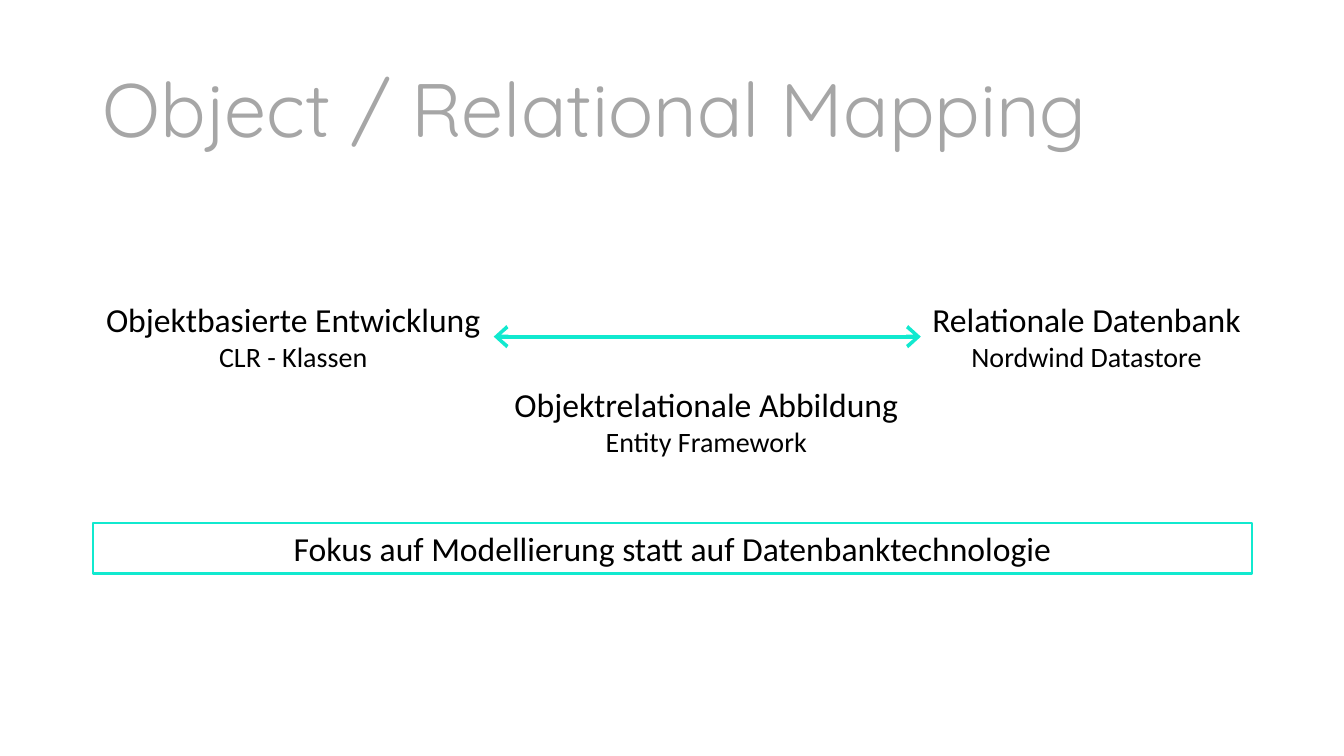
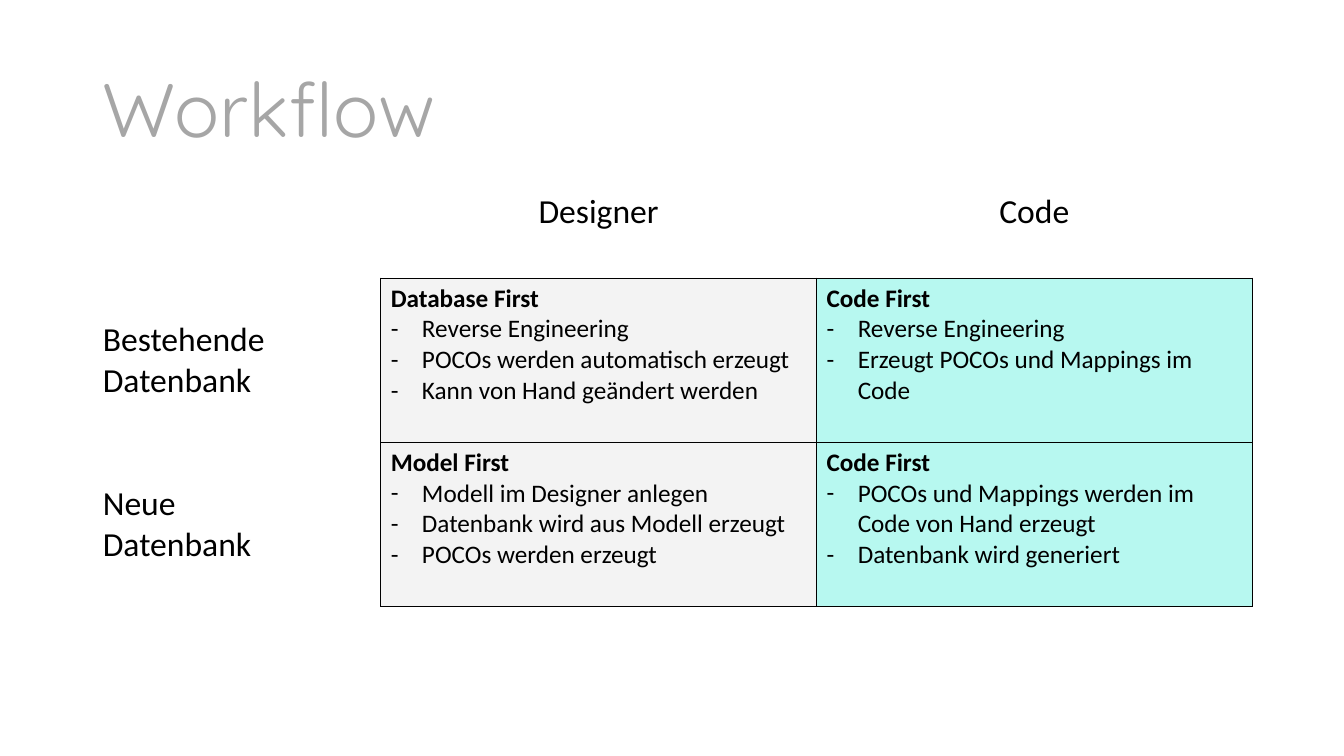
from pptx import Presentation
from pptx.dml.color import RGBColor as RGB
from pptx.enum.shapes import MSO_CONNECTOR as LINE, MSO_SHAPE as SHAPE
from pptx.enum.text import MSO_ANCHOR as ANCHOR, PP_ALIGN as ALIGN
from pptx.oxml import parse_xml
from pptx.oxml.ns import nsdecls
from pptx.oxml.xmlchemy import OxmlElement as Node
from pptx.util import Inches, Pt

INK = {"title": "A6A6A6", "text": "000000", "teal": "11E9CF",
       "grey": "D9D9D9", "paper": "FFFFFF"}
BODY, HEAD = "Calibri", "Quicksand"

deck = Presentation()
deck.slide_width, deck.slide_height = Inches(13.33), Inches(7.5)

# Grid: 12 columns between the margins, 30 rows over the full height
EDGE = Inches(0.92)
COL = Inches(11.5) / 12
ROW = deck.slide_height / 30


def place(col, row, cols, rows):
    """Turn grid units into left, top, width and height."""
    return (int(EDGE + col * COL), int(row * ROW),
            int(cols * COL), int(rows * ROW))


def write(frame, lines, align=ALIGN.LEFT, font=BODY, ink="text"):
    """Fill a frame with (text, size, bold, dash) lines."""
    frame.word_wrap = True
    for i, (text, size, bold, dash) in enumerate(lines):
        para = frame.add_paragraph() if i else frame.paragraphs[0]
        para.alignment = align
        if dash:
            props = para._p.get_or_add_pPr()
            props.set("marL", str(Inches(0.31)))
            props.set("indent", str(-Inches(0.31)))
            face = Node("a:buFont")
            face.set("typeface", font)
            mark = Node("a:buChar")
            mark.set("char", "-")
            props.extend([face, mark])
        run = para.add_run()
        run.text = text
        run.font.size, run.font.bold, run.font.name = Pt(size), bold, font
        run.font.color.rgb = RGB.from_string(INK[ink])


slides = []
for title in ("Object / Relational Mapping", "Workflow"):
    slide = deck.slides.add_slide(deck.slide_layouts[6])
    frame = slide.shapes.add_textbox(*place(0, 1.6, 12, 5.8)).text_frame
    frame.vertical_anchor = ANCHOR.MIDDLE
    write(frame, [(title, 54, False, False)], font=HEAD, ink="title")
    frame.paragraphs[0].line_spacing = 0.9
    slides.append(slide)
map_slide, flow_slide = slides

# Slide 1: two worlds and the mapping between them
worlds = []
for col, row, cols, name, note in (
        (0, 11.68, 4.15, "Objektbasierte Entwicklung", "CLR - Klassen"),
        (8.57, 11.68, 3.43, "Relationale Datenbank", "Nordwind Datastore"),
        (4.17, 15.04, 4.36, "Objektrelationale Abbildung", "Entity Framework")):
    box = map_slide.shapes.add_textbox(*place(col, row, cols, 3.36))
    write(box.text_frame, [(name, 24, False, False), (note, 20, False, False)],
          ALIGN.CENTER)
    worlds.append(box)

focus = map_slide.shapes.add_shape(SHAPE.RECTANGLE, *place(0, 20.76, 12, 2))
focus.shadow.inherit = False
focus.fill.solid()
focus.fill.fore_color.rgb = RGB.from_string(INK["paper"])
focus.line.color.rgb = RGB.from_string(INK["teal"])
focus.line.width = Pt(1.5)
write(focus.text_frame,
      [("Fokus auf Modellierung statt auf Datenbanktechnologie", 24, False, False)],
      ALIGN.CENTER)

arrow = map_slide.shapes.add_connector(LINE.STRAIGHT, 0, 0, 0, 0)
arrow.begin_connect(worlds[0], 3)
arrow.end_connect(worlds[1], 1)
arrow.line.color.rgb = RGB.from_string(INK["teal"])
arrow.line.width = Pt(3)
for end in ("a:headEnd", "a:tailEnd"):
    tip = Node(end)
    tip.set("type", "arrow")
    tip.set("w", "lg")
    arrow.line._get_or_add_ln().append(tip)
arrow._element.spPr.append(Node("a:effectLst"))

# Slide 2: workflow matrix
table = flow_slide.shapes.add_table(3, 3, *place(0, 7.4, 12, 16.66)).table
table.first_row = table.horz_banding = False
for part, cols in zip(table.columns, (2.98, 4.51, 4.51)):
    part.width = int(cols * COL)
for part, rows in zip(table.rows, (3.64, 6.51, 6.51)):
    part.height = int(rows * ROW)

# The first line of each inner cell is its heading
MATRIX = [
    ["", "Designer", "Code"],
    ["Bestehende\nDatenbank",
     "Database First\nReverse Engineering\nPOCOs werden automatisch erzeugt\n"
     "Kann von Hand geändert werden",
     "Code First\nReverse Engineering\nErzeugt POCOs und Mappings im Code"],
    ["Neue\nDatenbank",
     "Model First\nModell im Designer anlegen\nDatenbank wird aus Modell erzeugt\n"
     "POCOs werden erzeugt",
     "Code First\nPOCOs und Mappings werden im Code von Hand erzeugt\n"
     "Datenbank wird generiert"],
]
for r, texts in enumerate(MATRIX):
    for c, text in enumerate(texts):
        cell = table.cell(r, c)
        lines = text.split("\n")
        if not (r and c):
            cell.fill.background()
            if r:
                cell.vertical_anchor = ANCHOR.MIDDLE
            if text:
                write(cell.text_frame, [(t, 24, False, False) for t in lines],
                      ALIGN.CENTER if c else ALIGN.LEFT)
            continue
        write(cell.text_frame,
              [(t, 18, i == 0, i > 0) for i, t in enumerate(lines)])
        cell.fill.solid()
        cell.fill.fore_color.rgb = RGB.from_string(INK["grey" if c == 1 else "teal"])
        props = cell._tc.get_or_add_tcPr()
        alpha = Node("a:alpha")
        alpha.set("val", "30000")
        props.find(".//{*}srgbClr").append(alpha)
        for i, side in enumerate("LRTB"):
            props.insert(i, parse_xml(
                f'<a:ln{side} {nsdecls("a")} w="{Pt(1)}"><a:solidFill>'
                f'<a:srgbClr val="{INK["text"]}"/></a:solidFill></a:ln{side}>'))

deck.save("out.pptx")
